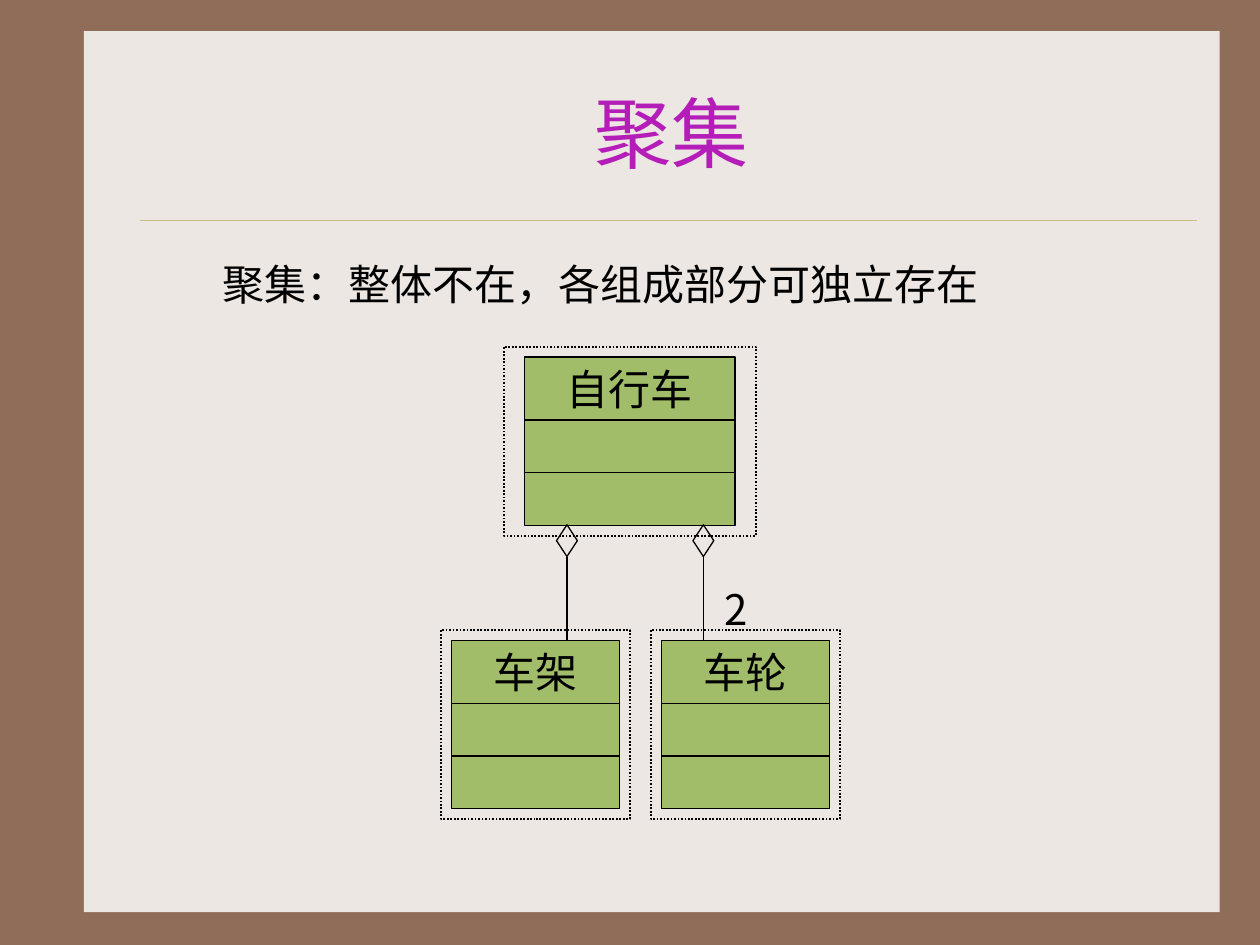
from lxml import etree
from pptx import Presentation
from pptx.dml.color import RGBColor
from pptx.enum.dml import MSO_LINE
from pptx.enum.shapes import MSO_CONNECTOR, MSO_SHAPE
from pptx.enum.text import MSO_ANCHOR, MSO_AUTO_SIZE, PP_ALIGN
from pptx.oxml.ns import qn
from pptx.util import Cm, Pt

RECT, DIAMOND = MSO_SHAPE.RECTANGLE, MSO_SHAPE.DIAMOND
STRAIGHT = MSO_CONNECTOR.STRAIGHT
DOTTED = MSO_LINE.ROUND_DOT
MIDDLE = MSO_ANCHOR.MIDDLE
CENTER, LEFT = PP_ALIGN.CENTER, PP_ALIGN.LEFT
GROW = MSO_AUTO_SIZE.SHAPE_TO_FIT_TEXT

BROWN = RGBColor(0x90, 0x6D, 0x58)
CREAM = RGBColor(0xED, 0xE7, 0xE3)
GOLD = RGBColor(0xCB, 0xBD, 0x83)
PURPLE = RGBColor(0xB5, 0x1D, 0xB9)
GREEN = RGBColor(0xA1, 0xBD, 0x69)
BLACK = RGBColor(0, 0, 0)

SERIF = "Times New Roman"
SANS = "Noto Sans CJK SC"

NAME_H, ROW_H = 1.27, 1.06
FRAME_H, FRAME_GAP = 3.81, 0.21
DIAMOND_W, DIAMOND_H = 0.42, 0.64


def write(tf, text, size, font, color, align):
    p = tf.paragraphs[0]
    p.alignment = align
    r = p.add_run()
    r.text = text
    r.font.size = Pt(size)
    r.font.name = font
    r.font.color.rgb = color
    etree.SubElement(r.font._element, qn("a:ea"), typeface=SANS)
    return p


def add_box(shapes, kind, x, y, w, h, fill=None, line=None, width=0.75):
    sp = shapes.add_shape(kind, Cm(x), Cm(y), Cm(w), Cm(h))
    sp.shadow.inherit = False
    if fill is None:
        sp.fill.background()
    else:
        sp.fill.solid()
        sp.fill.fore_color.rgb = fill
    if line is None:
        sp.line.fill.background()
    else:
        sp.line.color.rgb = line
        sp.line.width = Pt(width)
    return sp


def add_line(shapes, x1, y1, x2, y2, color, width):
    line = shapes.add_connector(STRAIGHT, Cm(x1), Cm(y1), Cm(x2), Cm(y2))
    line.line.color.rgb = color
    line.line.width = Pt(width)
    etree.SubElement(line.element.spPr, qn("a:effectLst"))


def add_text(shapes, text, x, y, w, h, font, wrap):
    tf = shapes.add_textbox(Cm(x), Cm(y), Cm(w), Cm(h)).text_frame
    tf.word_wrap = wrap
    return tf, write(tf, text, 24, font, BLACK, LEFT)


def add_class(slide, name, x, y, w, side_gap):
    shapes = slide.shapes.add_group_shape().shapes
    frame = add_box(shapes, RECT, x, y, w, FRAME_H, line=BLACK, width=1)
    frame.line.dash_style = DOTTED
    top = y + FRAME_GAP
    for label, h in ((name, NAME_H), ("", ROW_H), ("", ROW_H)):
        sp = add_box(shapes, RECT, x + side_gap, top, w - 2 * side_gap, h, GREEN, BLACK)
        if label:
            tf = sp.text_frame
            tf.word_wrap = False
            tf.vertical_anchor = MIDDLE
            write(tf, label, 24, SANS, BLACK, CENTER)
        top += h


def add_aggregation(shapes, x, top, bottom):
    add_box(shapes, DIAMOND, x - DIAMOND_W / 2, top, DIAMOND_W, DIAMOND_H, line=BLACK)
    add_line(shapes, x, top + DIAMOND_H, x, bottom, BLACK, 0.75)


def add_title(slide, text):
    title = slide.shapes.title
    title.left, title.top, title.width, title.height = Cm(2.96), Cm(1.06), Cm(21.17), Cm(3.18)
    title.text_frame.vertical_anchor = MIDDLE
    write(title.text_frame, text, 44, SERIF, PURPLE, CENTER)
    title.element.getparent().append(title.element)


def main():
    prs = Presentation()
    prs.slide_width, prs.slide_height = Cm(25.4), Cm(19.05)
    s = prs.slides.add_slide(prs.slide_layouts[5])
    s.background.fill.solid()
    s.background.fill.fore_color.rgb = BROWN

    add_box(s.shapes, RECT, 1.69, 0.63, 22.9, 17.76, CREAM)
    add_line(s.shapes, 2.82, 4.44, 24.13, 4.44, GOLD, 0.25)
    add_title(s, "聚集")

    add_class(s, "自行车", 10.16, 6.99, 5.08, 0.42)
    add_class(s, "车架", 8.89, 12.7, 3.81, 0.21)
    add_class(s, "车轮", 13.12, 12.7, 3.81, 0.21)

    tf, p = add_text(s.shapes, "2", 14.35, 11.64, 1.02, 1.27, SANS, False)
    tf.auto_size = GROW
    for x in (11.43, 14.18):
        add_aggregation(s.shapes, x, 10.58, 12.91)

    tf, p = add_text(s.shapes, "聚集：整体不在，各组成部分可独立存在", 2.96, 5.08, 21.17, 1.69, SERIF, True)
    p.level = 1
    p.space_before = Pt(6)
    pPr = p._p.get_or_add_pPr()
    pPr.set("marL", str(Cm(2.06)))
    pPr.set("indent", str(Cm(-0.79)))

    prs.save("out.pptx")


if __name__ == "__main__":
    main()
